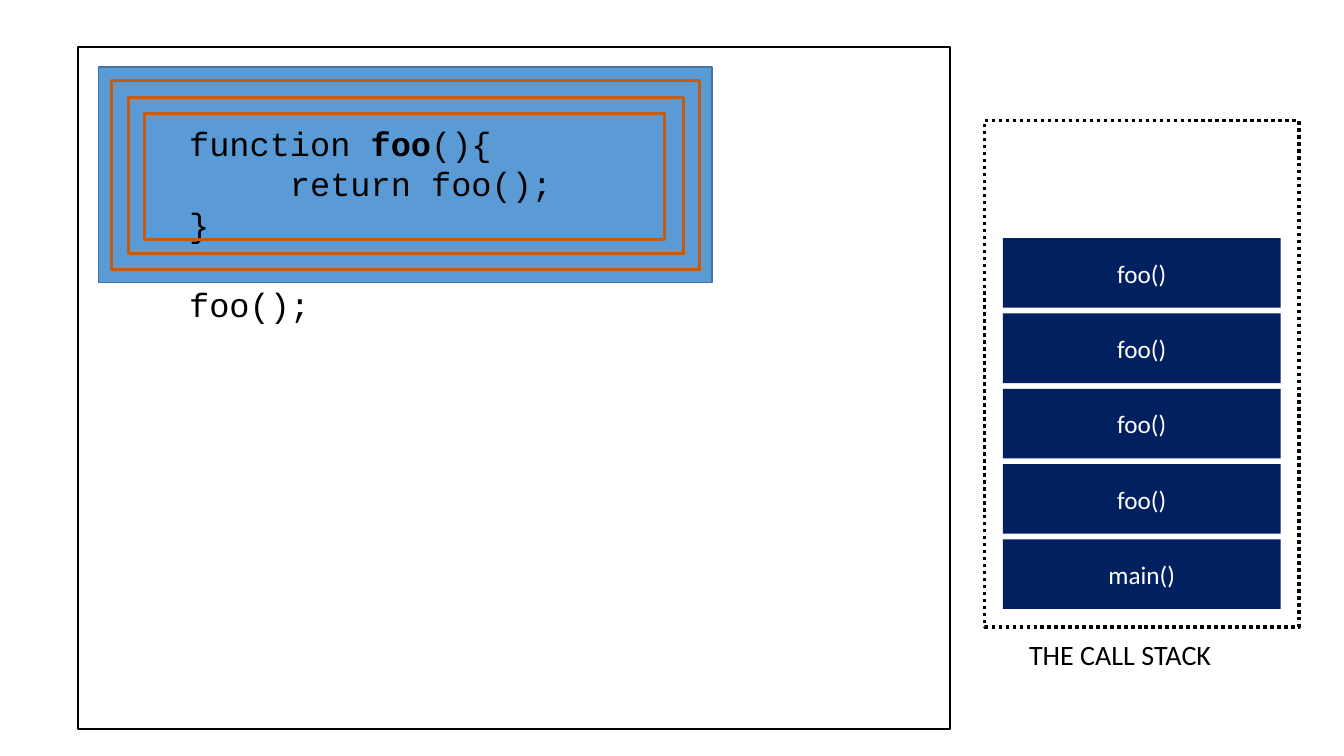
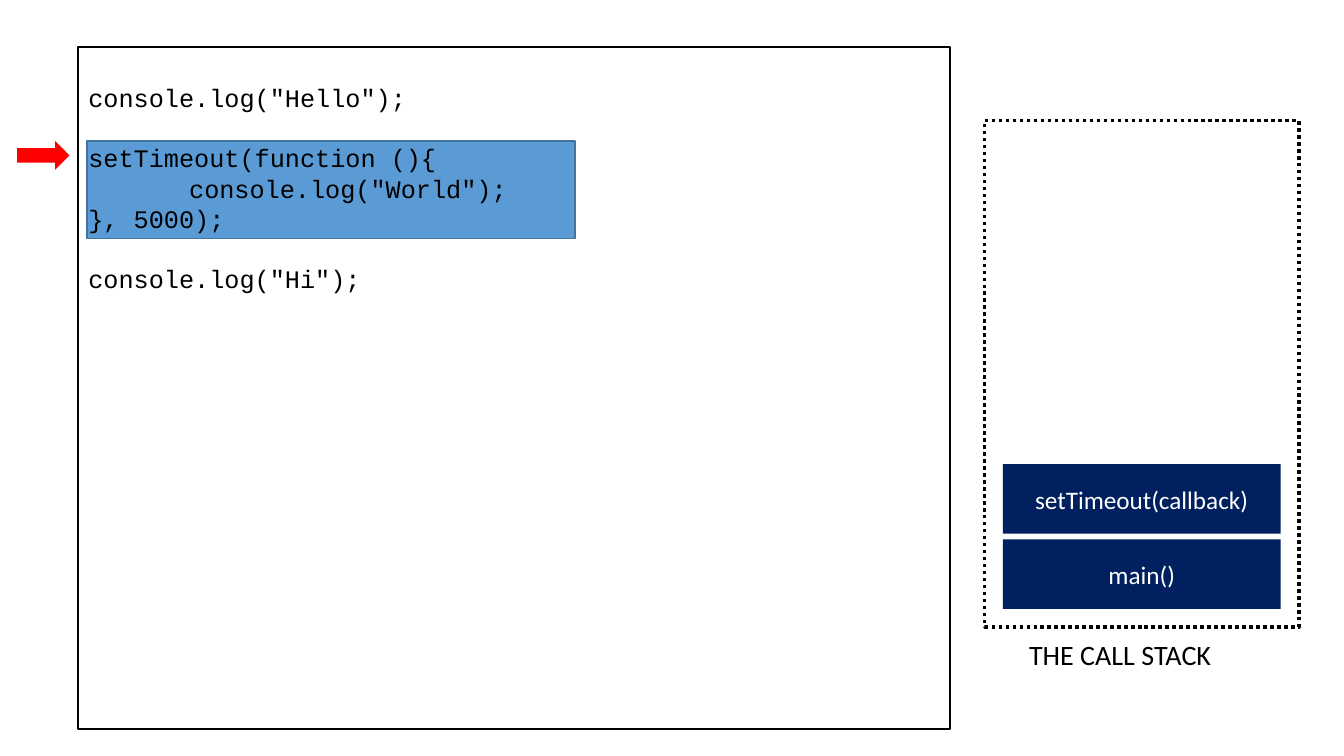
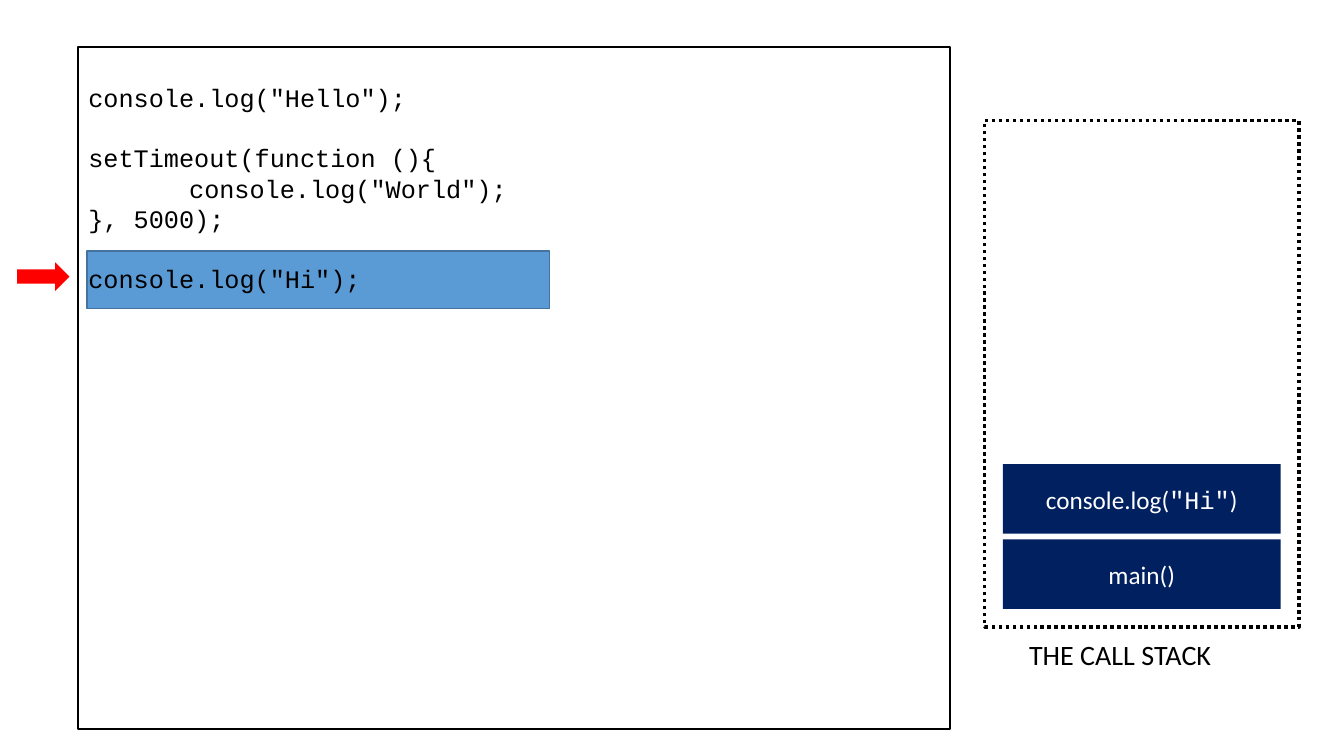
from pptx import Presentation
from pptx.dml.color import RGBColor
from pptx.enum.dml import MSO_LINE
from pptx.enum.shapes import MSO_SHAPE as SHAPE
from pptx.enum.text import MSO_ANCHOR as ANCHOR, PP_ALIGN as ALIGN
from pptx.util import Pt

COLORS = {
    "ink": "000000",
    "highlight": "5B9BD5",
    "highlight_edge": "43739E",
    "ring": "C55A11",
    "pointer": "FF0000",
    "call": "002060",
    "call_text": "FFFFFF",
}
BODY, MONO = "Calibri", "Courier New"
CALL_BOTTOM, CALL_STEP = 385.3, 53.8
TAB_WIDTH = Pt(72)

timeout_code = [
    'console.log("Hello");',
    "",
    "setTimeout(function (){",
    '\tconsole.log("World");',
    "}, 5000);",
    "",
    'console.log("Hi");',
]
steps = [
    {
        "code": ["\tfunction |foo|(){", "\t\treturn foo();", "\t}", "", "\tfoo();"],
        "size": 24,
        "top_inset": 54,
        "highlight": (70.3, 47.9, 438.2, 154),
        "rings": [
            (79.4, 57.4, 420, 135.4),
            (91.6, 69.4, 396.7, 112),
            (103.5, 81.2, 371, 90.2),
        ],
        "calls": ["main()"] + ["foo()"] * 4,
    },
    {
        "code": timeout_code,
        "size": 18,
        "top_inset": 25,
        "highlight": (62.2, 100.8, 348.5, 69.6),
        "pointer_top": 100.8,
        "calls": ["main()", "setTimeout(callback)"],
    },
    {
        "code": timeout_code,
        "size": 18,
        "top_inset": 25,
        "highlight": (62.2, 179.2, 330.5, 41),
        "pointer_top": 187.4,
        "calls": ["main()", 'console.log(|"Hi"|)'],
    },
]


def add_block(slide, box, fill=None, edge=None, weight=1, kind=SHAPE.RECTANGLE):
    block = slide.shapes.add_shape(kind, *map(Pt, box))
    block.shadow.inherit = False
    if fill:
        block.fill.solid()
        block.fill.fore_color.rgb = RGBColor.from_string(COLORS[fill])
    else:
        block.fill.background()
    if edge:
        block.line.color.rgb = RGBColor.from_string(COLORS[edge])
        block.line.width = Pt(weight)
    else:
        block.line.fill.background()
    return block


def write_line(paragraph, text, size, color, font, align):
    paragraph.alignment = align
    paragraph.font.size = Pt(size)
    paragraph.font.name = font
    paragraph.font.color.rgb = RGBColor.from_string(COLORS[color])
    paragraph._p.get_or_add_pPr().set("defTabSz", str(TAB_WIDTH))
    for part in text.split("|"):
        paragraph.add_run().text = part
    return paragraph.runs[1:2]


deck = Presentation()
deck.slide_width, deck.slide_height = Pt(960), Pt(540)

for step in steps:
    slide = deck.slides.add_slide(deck.slide_layouts[6])
    add_block(slide, step["highlight"], "highlight", "highlight_edge")
    if "pointer_top" in step:
        pointer = (12.2, step["pointer_top"], 37.4, 20.4)
        add_block(slide, pointer, "pointer", kind=SHAPE.RIGHT_ARROW)

    stack = add_block(slide, (703.4, 86.2, 224.4, 361.6), edge="ink", weight=2.5)
    stack.line.dash_style = MSO_LINE.ROUND_DOT

    editor = add_block(slide, (56, 33.8, 622.3, 487), edge="ink", weight=1.5).text_frame
    editor.vertical_anchor = ANCHOR.TOP
    editor.margin_top = Pt(step["top_inset"])
    pitch = Pt(1.2 * step["size"])
    paragraph, gap = editor.paragraphs[0], False
    for number, code in enumerate(step["code"]):
        if not code:
            gap = True
            continue
        if number:
            paragraph = editor.add_paragraph()
        paragraph.line_spacing = pitch
        if gap:
            paragraph.space_before = pitch
            gap = False
        for name in write_line(paragraph, code, step["size"], "ink", MONO, ALIGN.LEFT):
            name.font.bold = True

    caption = slide.shapes.add_textbox(Pt(728), Pt(451.8), Pt(193.7), Pt(31.5)).text_frame
    caption.word_wrap = True
    write_line(caption.paragraphs[0], "THE CALL STACK", 20, "ink", BODY, ALIGN.LEFT)

    for level, call in enumerate(step["calls"]):
        top = CALL_BOTTOM - level * CALL_STEP
        frame = add_block(slide, (716.4, top, 198.3, 49.7), "call").text_frame
        frame.vertical_anchor = ANCHOR.MIDDLE
        for quoted in write_line(frame.paragraphs[0], call, 18, "call_text", BODY, ALIGN.CENTER):
            quoted.font.name = MONO

    for ring in step.get("rings", []):
        add_block(slide, ring, edge="ring", weight=2.25)

deck.save("out.pptx")
